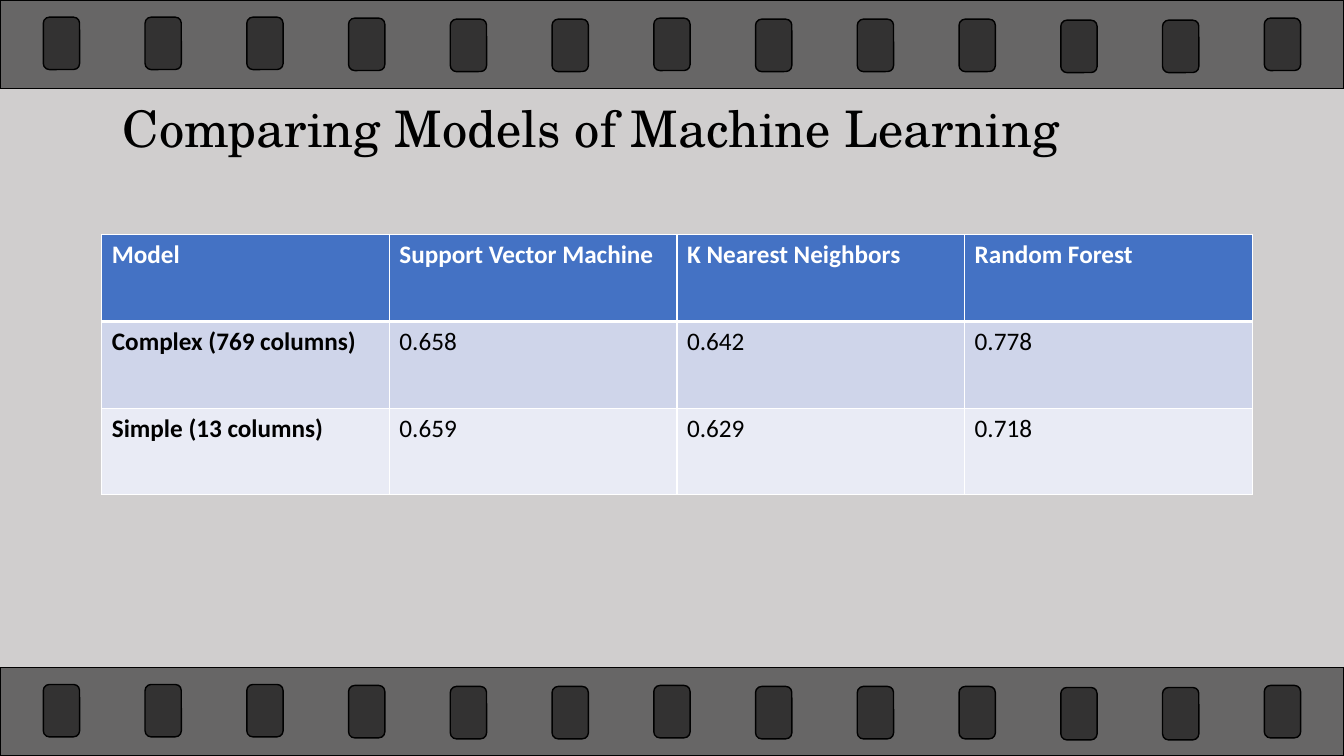
from dataclasses import dataclass

from lxml.etree import SubElement
from pptx import Presentation
from pptx.dml.color import RGBColor
from pptx.enum.shapes import MSO_SHAPE as Preset
from pptx.enum.text import MSO_ANCHOR as Anchor
from pptx.oxml.ns import qn
from pptx.util import Inches, Pt


@dataclass(frozen=True)
class Theme:
    background: str = "D0CECE"
    ink: str = "000000"
    paper: str = "FFFFFF"
    header: str = "4472C4"
    bands: tuple = ("CFD5EA", "E9EBF5")
    title_font: str = "TeX Gyre Schola"
    body_font: str = "Calibri"
    title_size: int = 36
    body_size: int = 18
    film_opacity: int = 50
    thin: int = 1
    thick: int = 3


THEME = Theme()
SLIDE_WIDTH, SLIDE_HEIGHT = 13.33, 7.5
STRIP_HEIGHT = 0.88
HOLE_WIDTH, HOLE_HEIGHT = 0.36, 0.52
FIRST_HOLE, LAST_HOLE = 0.43, 12.54
HOLE_TOPS = (0.17, 0.17, 0.17, 0.18, 0.19, 0.19, 0.18,
             0.19, 0.19, 0.19, 0.2, 0.2, 0.18)
SCORES = (
    ("Model", "Support Vector Machine", "K Nearest Neighbors", "Random Forest"),
    ("Complex (769 columns)", "0.658", "0.642", "0.778"),
    ("Simple (13 columns)", "0.659", "0.629", "0.718"),
)


def color(value):
    return RGBColor.from_string(value)


def style_run(run, font, size, ink, bold=False):
    run.font.name = font
    run.font.size = Pt(size)
    run.font.bold = bold
    run.font.color.rgb = color(ink)


def add_film_shape(slide, preset, left, top, width, height):
    shape = slide.shapes.add_shape(
        preset, Inches(left), Inches(top), Inches(width), Inches(height))
    shape.shadow.inherit = False
    shape.fill.solid()
    shape.fill.fore_color.rgb = color(THEME.ink)
    fill_color = shape.fill._xPr.find(qn("a:solidFill"))[0]
    SubElement(fill_color, qn("a:alpha"), val=str(THEME.film_opacity * 1000))
    shape.line.color.rgb = color(THEME.ink)
    shape.line.width = Pt(THEME.thin)


def add_film_strip(slide, left, top, width, height):
    add_film_shape(slide, Preset.RECTANGLE, left, top, width, height)
    pitch = (LAST_HOLE - FIRST_HOLE) / (len(HOLE_TOPS) - 1)
    for index, hole_top in enumerate(HOLE_TOPS):
        add_film_shape(slide, Preset.ROUNDED_RECTANGLE,
                       left + FIRST_HOLE + index * pitch, top + hole_top,
                       HOLE_WIDTH, HOLE_HEIGHT)


def add_title(slide, text, left, top, width, height):
    box = slide.shapes.add_textbox(
        Inches(left), Inches(top), Inches(width), Inches(height))
    frame = box.text_frame
    frame.word_wrap = True
    frame.vertical_anchor = Anchor.MIDDLE
    frame.text = text
    paragraph = frame.paragraphs[0]
    paragraph.line_spacing = 0.9
    style_run(paragraph.runs[0], THEME.title_font, THEME.title_size, THEME.ink)


def add_borders(cell, top, bottom):
    properties = cell._tc.get_or_add_tcPr()
    widths = {"L": THEME.thin, "R": THEME.thin, "T": top, "B": bottom}
    for side, width in widths.items():
        line = SubElement(properties, qn(f"a:ln{side}"), w=str(Pt(width)))
        fill = SubElement(line, qn("a:solidFill"))
        SubElement(fill, qn("a:srgbClr"), val=THEME.paper)


def add_score_table(slide, rows, left, top, width, height):
    table = slide.shapes.add_table(
        len(rows), len(rows[0]), Inches(left), Inches(top),
        Inches(width), Inches(height)).table
    for row_index, row in enumerate(rows):
        is_header = row_index == 0
        band = THEME.header if is_header else THEME.bands[(row_index - 1) % 2]
        ink = THEME.paper if is_header else THEME.ink
        for column_index, text in enumerate(row):
            cell = table.cell(row_index, column_index)
            add_borders(cell,
                        top=THEME.thick if row_index == 1 else THEME.thin,
                        bottom=THEME.thick if is_header else THEME.thin)
            cell.fill.solid()
            cell.fill.fore_color.rgb = color(band)
            cell.text_frame.text = text
            style_run(cell.text_frame.paragraphs[0].runs[0], THEME.body_font,
                      THEME.body_size, ink, is_header or column_index == 0)


def build_comparison_slide(presentation):
    slide = presentation.slides.add_slide(presentation.slide_layouts[6])
    slide.background.fill.solid()
    slide.background.fill.fore_color.rgb = color(THEME.background)
    for top in (0, SLIDE_HEIGHT - STRIP_HEIGHT):
        add_film_strip(slide, 0, top, SLIDE_WIDTH, STRIP_HEIGHT)
    add_title(slide, "Comparing Models of Machine Learning",
              1.12, 0.89, 11.5, 0.82)
    add_score_table(slide, SCORES, 1.01, 2.33, 11.41, 2.58)


def main():
    presentation = Presentation()
    presentation.slide_width = Inches(SLIDE_WIDTH)
    presentation.slide_height = Inches(SLIDE_HEIGHT)
    build_comparison_slide(presentation)
    presentation.save("out.pptx")


if __name__ == "__main__":
    main()
